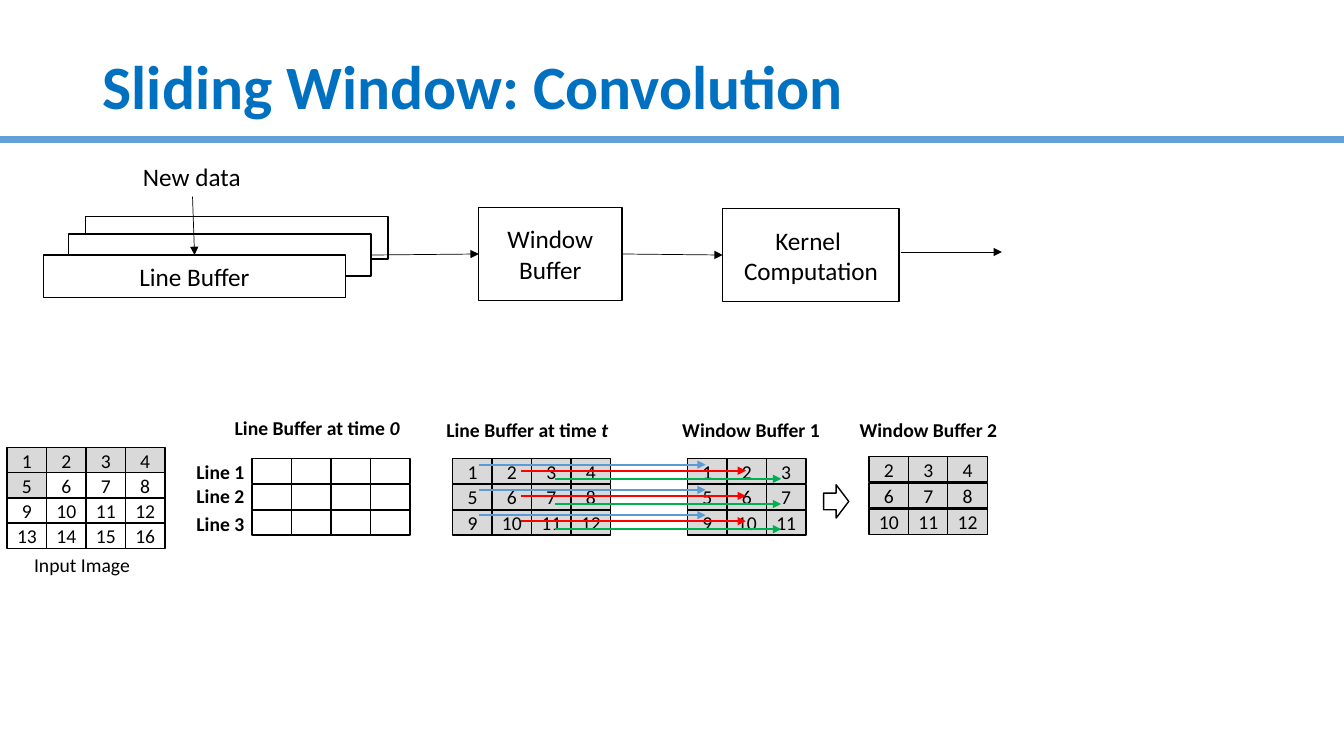
from pptx import Presentation
from pptx.dml.color import RGBColor
from pptx.enum.shapes import MSO_CONNECTOR, MSO_SHAPE
from pptx.enum.text import MSO_ANCHOR, MSO_AUTO_SIZE, PP_ALIGN
from pptx.oxml.ns import qn
from pptx.util import Inches, Pt
from lxml.etree import SubElement


def color(value):
    return RGBColor.from_string(value)


class ConvolutionSlide:
    font = "Calibri"
    black = "000000"
    white = "FFFFFF"
    gray = "D9D9D9"
    grid_columns = 133.33
    grid_rows = 75
    cell_pitch = 3.91
    cell_size = (3.95, 2.5)
    values_per_line = 4

    def __init__(self, presentation):
        self.column = presentation.slide_width / self.grid_columns
        self.row = presentation.slide_height / self.grid_rows
        self.slide = presentation.slides.add_slide(presentation.slide_layouts[5])

    def place(self, x, y):
        return round(x * self.column), round(y * self.row)

    def format(self, paragraph, size, bold=False, text_color=black):
        paragraph.font.name = self.font
        paragraph.font.size = Pt(size)
        paragraph.font.bold = bold
        paragraph.font.color.rgb = color(text_color)

    def title(self, text, x, y, width, height):
        title = self.slide.shapes.title
        title.left, title.top = self.place(x, y)
        title.width, title.height = self.place(width, height)
        frame = title.text_frame
        frame.text = text
        frame.word_wrap = True
        frame.auto_size = MSO_AUTO_SIZE.NONE
        frame.vertical_anchor = MSO_ANCHOR.MIDDLE
        paragraph = frame.paragraphs[0]
        paragraph.alignment = PP_ALIGN.LEFT
        paragraph.line_spacing = 0.9
        self.format(paragraph, 44, True, "0070C0")

    def shape(self, x, y, width, height, text="", fill=white, size=18, inset=0.1,
              kind=MSO_SHAPE.RECTANGLE):
        shape = self.slide.shapes.add_shape(
            kind, *self.place(x, y), *self.place(width, height))
        shape.shadow.inherit = False
        if fill:
            shape.fill.solid()
            shape.fill.fore_color.rgb = color(fill)
        else:
            shape.fill.background()
        shape.line.color.rgb = color(self.black)
        shape.line.width = Pt(1)
        frame = shape.text_frame
        frame.margin_left = frame.margin_right = Inches(inset)
        frame.margin_top = frame.margin_bottom = Inches(inset / 2)
        frame.vertical_anchor = MSO_ANCHOR.MIDDLE
        frame.text = text
        for paragraph in frame.paragraphs:
            paragraph.alignment = PP_ALIGN.CENTER
            self.format(paragraph, size)

    def label(self, x, y, width, text, italic="", size=14, bold=True, height=3.4):
        box = self.slide.shapes.add_textbox(
            *self.place(x, y), *self.place(width, height))
        frame = box.text_frame
        frame.word_wrap = False
        frame.auto_size = MSO_AUTO_SIZE.SHAPE_TO_FIT_TEXT
        frame.text = text
        paragraph = frame.paragraphs[0]
        self.format(paragraph, size, bold)
        if italic:
            run = paragraph.add_run()
            run.text = italic
            run.font.italic = True

    def line(self, start, end, line_color=black, width=0.5, arrow=True):
        connector = self.slide.shapes.add_connector(
            MSO_CONNECTOR.STRAIGHT, *self.place(*start), *self.place(*end))
        connector.line.color.rgb = color(line_color)
        connector.line.width = Pt(width)
        if arrow:
            SubElement(connector.line._get_or_add_ln(), qn("a:tailEnd"), type="triangle")
        SubElement(connector._element.spPr, qn("a:effectLst"))

    def cells(self, x, y, columns, rows, first=None, shaded_to=0, row_pitch=2.55):
        for row in range(rows):
            for column in range(columns):
                value = first + row * self.values_per_line + column if first else 0
                fill = self.gray if 0 < value <= shaded_to else self.white
                self.shape(x + column * self.cell_pitch, y + row * row_pitch,
                           *self.cell_size, str(value or ""), fill, 14, 0)


def main():
    presentation = Presentation()
    presentation.slide_width = Inches(13.33)
    presentation.slide_height = Inches(7.5)
    slide = ConvolutionSlide(presentation)

    slide.line((133.33, 13.8), (0, 13.8), "63A0D7", 5, arrow=False)
    slide.title("Sliding Window: Convolution", 9.2, 4, 115, 9.8)

    slide.shape(8.5, 21.5, 30, 4.2, fill=None)
    slide.shape(6.8, 23.2, 30, 4.2)
    slide.shape(4.3, 25.3, 30, 4.2, "Line Buffer")
    slide.shape(47.5, 20.6, 14.2, 9.2, "Window Buffer")
    slide.shape(71.7, 20.7, 17.5, 9.2, "Kernel \nComputation")
    slide.label(13.2, 15.5, 11.8, "New data", size=18, bold=False, height=4)
    for start, end in [((19.1, 19.5), (19.3, 25.3)), ((36.8, 25.3), (47.5, 25.2)),
                       ((61.7, 25.2), (71.7, 25.3)), ((89.4, 25), (99.4, 25))]:
        slide.line(start, end)

    slide.label(2.4, 54.4, 11.6, "Input Image", bold=False)
    slide.cells(0.7, 44.4, 4, 4, first=1, shaded_to=5, row_pitch=2.5)

    slide.label(84.3, 41, 15.8, "Window Buffer 2")
    slide.cells(86.2, 45.3, 3, 3, first=2, shaded_to=12, row_pitch=2.6)
    slide.shape(81.7, 48.1, 2.5, 3.3, fill=None, kind=MSO_SHAPE.RIGHT_ARROW)

    slide.label(66.7, 41, 15.8, "Window Buffer 1")
    slide.cells(68.2, 45.5, 3, 3, first=1, shaded_to=12)

    slide.label(43.3, 41, 18.2, "Line Buffer at time ", "t")
    slide.cells(44.9, 45.5, 4, 3, first=1, shaded_to=12)

    for line_color, left, right, top in [("5B9BD5", 47.5, 70, 46.1),
                                         ("FF0000", 51.7, 74, 46.7),
                                         ("00B050", 55.1, 77.5, 47.5)]:
        for row in range(3):
            y = top + row * 2.5
            slide.line((left, y), (right, y), line_color, 1.25)

    slide.label(22.3, 40.8, 18.5, "Line Buffer at time ", "0")
    for number, y in enumerate((45.1, 47.5, 50.3), 1):
        slide.label(18.5, y, 6.8, f"Line {number}")
    slide.cells(25, 45.5, 4, 3)

    presentation.save("out.pptx")


if __name__ == "__main__":
    main()
